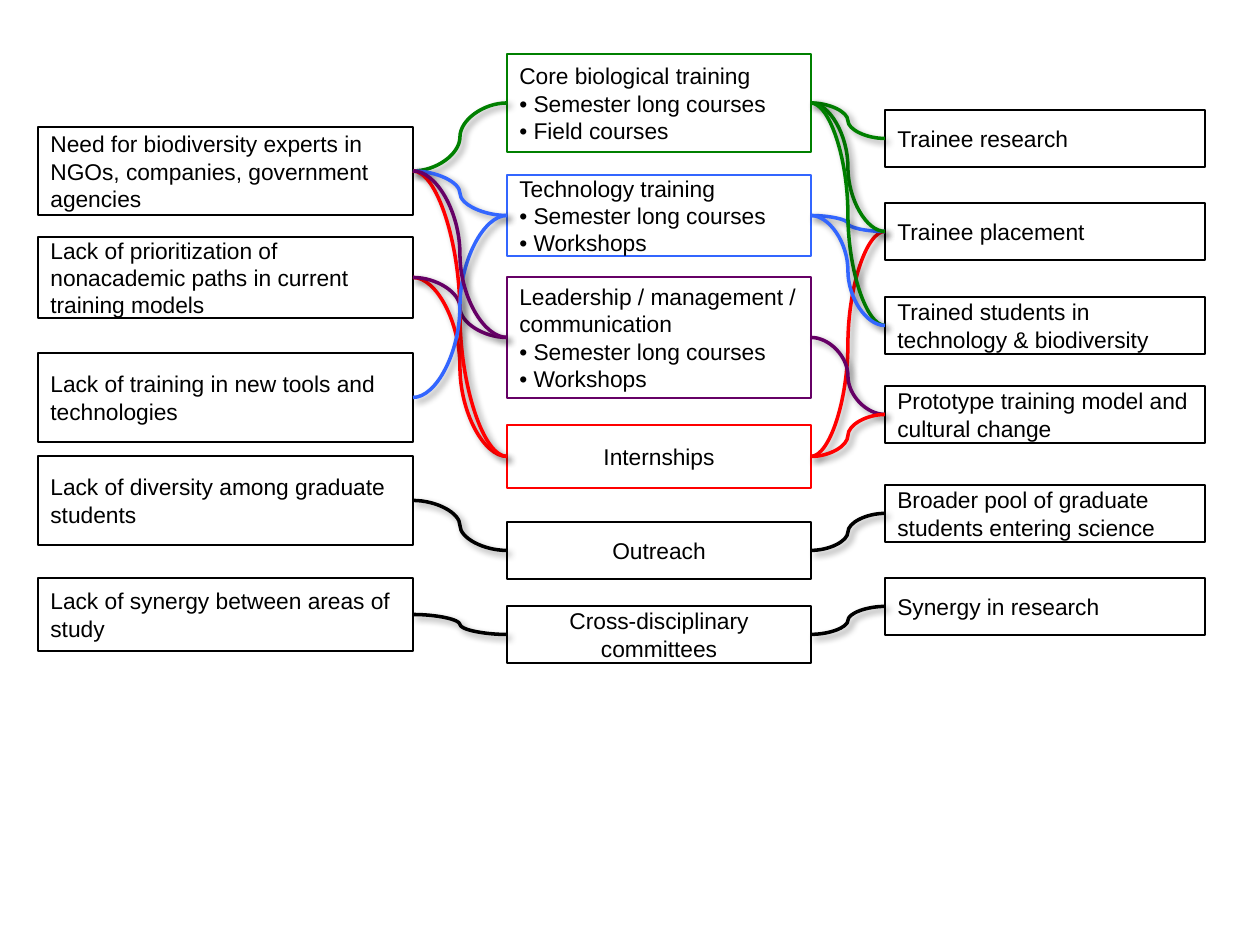
import pptx
import pptx.util
import pptx.dml.color
import pptx.enum.shapes
import pptx.enum.text
import pptx.oxml
import pptx.oxml.ns

SCALE = 914400 // 126
BLACK, GREEN, BLUE, PLUM, RED = "000000", "008000", "3366FF", "660066", "FF0000"
FONT = {"name": "Arial", "size": pptx.util.Pt(13)}
FRAME = {"word_wrap": True, "vertical_anchor": pptx.enum.text.MSO_ANCHOR.MIDDLE}
LEFT = pptx.enum.text.PP_ALIGN.LEFT
MID = pptx.enum.text.PP_ALIGN.CENTER
SHADOW = (
    f'<a:effectLst {pptx.oxml.ns.nsdecls("a")}>'
    '<a:outerShdw blurRad="50800" dist="38100" dir="2700000" rotWithShape="0">'
    '<a:srgbClr val="000000"><a:alpha val="40000"/></a:srgbClr>'
    '</a:outerShdw></a:effectLst>'
)

# Each box: key, top, height, line colour, alignment, paragraphs
NEEDS = [
    ("need", 127, 88, BLACK, LEFT,
     ["Need for biodiversity experts in NGOs, companies, government agencies"]),
    ("paths", 237, 81, BLACK, LEFT,
     ["Lack of prioritization of nonacademic paths in current training models"]),
    ("tools", 353, 89, BLACK, LEFT, ["Lack of training in new tools and technologies"]),
    ("range", 456, 89, BLACK, LEFT, ["Lack of diversity among graduate students"]),
    ("areas", 578, 73, BLACK, LEFT, ["Lack of synergy between areas of study"]),
]
COURSES, SHOPS = "• Semester long courses", "• Workshops"
MEANS = [
    ("core", 54, 98, GREEN, LEFT, ["Core biological training", COURSES, "• Field courses"]),
    ("tech", 175, 81, BLUE, LEFT, ["Technology training", COURSES, SHOPS]),
    ("lead", 277, 121, PLUM, LEFT,
     ["Leadership / management / communication", COURSES, SHOPS]),
    ("intern", 425, 63, RED, MID, ["Internships"]),
    ("reach", 522, 57, BLACK, MID, ["Outreach"]),
    ("cross", 606, 57, BLACK, MID, ["Cross-disciplinary committees"]),
]
GOALS = [
    (key, top, 57, BLACK, LEFT, [text]) for key, top, text in [
        ("study", 110, "Trainee research"),
        ("place", 203, "Trainee placement"),
        ("skilled", 297, "Trained students in technology & biodiversity"),
        ("model", 386, "Prototype training model and cultural change"),
        ("pool", 485, "Broader pool of graduate students entering science"),
        ("joint", 578, "Synergy in research"),
    ]
]
LINKS = [
    ("paths", "intern", RED), ("need", "core", GREEN), ("paths", "lead", PLUM),
    ("need", "tech", BLUE), ("areas", "cross", BLACK), ("need", "intern", RED),
    ("tools", "tech", BLUE), ("need", "lead", PLUM), ("range", "reach", BLACK),
    ("core", "study", GREEN), ("intern", "place", RED), ("reach", "pool", BLACK),
    ("tech", "place", BLUE), ("core", "place", GREEN), ("lead", "model", PLUM),
    ("intern", "model", RED), ("cross", "joint", BLACK), ("core", "skilled", GREEN),
    ("tech", "skilled", BLUE),
]


def px(num):
    return pptx.util.Emu(round(num * SCALE))


def tint(text):
    return pptx.dml.color.RGBColor.from_string(text)


def style(item, values):
    for name, value in values.items():
        setattr(item, name, value)


def stroke(line, color, width):
    line.color.rgb = tint(color)
    line.width = pptx.util.Pt(width)


def column(slide, left, width, rows):
    """Stack one column of boxes and return them by key."""
    boxes = {}
    for key, top, height, color, align, texts in rows:
        box = slide.shapes.add_shape(
            pptx.enum.shapes.MSO_SHAPE.FLOWCHART_PROCESS,
            px(left), px(top), px(width), px(height))
        box.shadow.inherit = False
        box.fill.background()
        stroke(box.line, color, 0.75)
        frame = box.text_frame
        style(frame, FRAME)
        for i, text in enumerate(texts):
            para = frame.add_paragraph() if i else frame.paragraphs[0]
            para.alignment = align
            run = para.add_run()
            run.text = text
            style(run.font, FONT)
            run.font.color.rgb = tint(BLACK)
        boxes[key] = box
    return boxes


def link(slide, start, end, color):
    """Curve from the right side of one box to the left side of the next."""
    curve = slide.shapes.add_connector(
        pptx.enum.shapes.MSO_CONNECTOR.CURVE, 0, 0, 0, 0)
    curve.begin_connect(start, 3)
    curve.end_connect(end, 1)
    stroke(curve.line, color, 2)
    curve._element.spPr.append(pptx.oxml.parse_xml(SHADOW))


def build():
    deck = pptx.Presentation()
    style(deck, {"slide_width": px(1260), "slide_height": px(945)})
    slide = deck.slides.add_slide(deck.slide_layouts[6])
    # Needs, means and goals
    boxes = {
        **column(slide, 38, 375, NEEDS),
        **column(slide, 507, 304, MEANS),
        **column(slide, 885, 320, GOALS),
    }
    # Curves between the columns
    for start, end, color in LINKS:
        link(slide, boxes[start], boxes[end], color)
    deck.save("out.pptx")


build()
